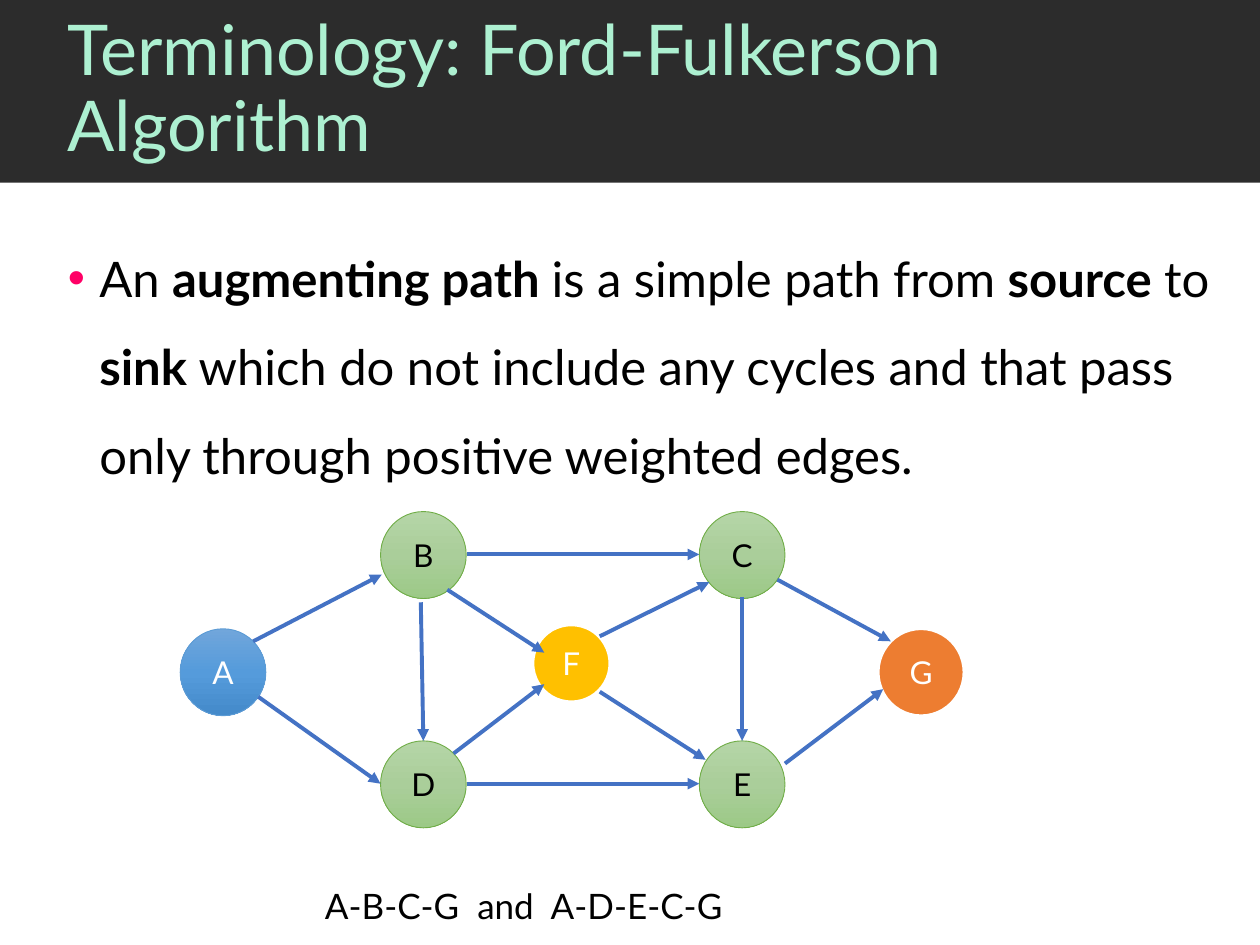
from copy import deepcopy
from dataclasses import dataclass

from pptx import Presentation
from pptx.dml.color import RGBColor
from pptx.enum.shapes import MSO_CONNECTOR as Connector, MSO_SHAPE as Shape
from pptx.enum.text import MSO_ANCHOR as Anchor, PP_ALIGN as Align
from pptx.oxml.ns import qn
from pptx.util import Inches, Pt
from lxml.etree import SubElement


@dataclass(frozen=True)
class Theme:
    font: str = "Lato"
    band: str = "2C2C2C"
    title: str = "ADF0D1"
    bullet: str = "FF0066"
    dark: str = "000000"
    light: str = "FFFFFF"
    edge: str = "4472C4"
    blue: tuple = ("71A6DB", "559BDB", "448ACA")
    blue_line: str = "5B9BD5"
    green: tuple = ("B5D5A7", "AACE9A", "9CC987")
    green_line: str = "70AD47"
    orange: str = "ED7D31"
    yellow: str = "FFC000"
    title_size: int = 40
    body_size: int = 28
    caption_size: int = 20
    node_size: int = 18


THEME = Theme()


def color(value):
    return RGBColor.from_string(value)


def write(paragraph, text, *, size, fill, bold=False):
    run = paragraph.add_run()
    run.text = text
    run.font.name = THEME.font
    run.font.size = Pt(size)
    run.font.bold = bold
    run.font.color.rgb = color(fill)


class SlideBuilder:
    def __init__(self, slide, theme):
        self.slide = slide
        self.theme = theme

    def band(self, left, top, width, height):
        shape = self.slide.shapes.add_shape(
            Shape.RECTANGLE, Inches(left), Inches(top), Inches(width), Inches(height))
        shape.shadow.inherit = False
        shape.fill.solid()
        shape.fill.fore_color.rgb = color(self.theme.band)
        shape.line.fill.background()

    def text(self, left, top, width, height, runs, *, size, fill,
             anchor=Anchor.TOP, spacing=1.0, bullet=False):
        """Add a one-paragraph box; runs are (text, bold) pairs."""
        box = self.slide.shapes.add_textbox(
            Inches(left), Inches(top), Inches(width), Inches(height))
        frame = box.text_frame
        frame.word_wrap = True
        frame.vertical_anchor = anchor
        paragraph = frame.paragraphs[0]
        paragraph.line_spacing = spacing
        if bullet:
            self.add_bullet(paragraph)
        for words, bold in runs:
            write(paragraph, words, size=size, fill=fill, bold=bold)

    def add_bullet(self, paragraph):
        properties = paragraph._p.get_or_add_pPr()
        properties.set("marL", str(Inches(0.25)))
        properties.set("indent", str(Inches(-0.25)))
        bullet_color = SubElement(properties, qn("a:buClr"))
        SubElement(bullet_color, qn("a:srgbClr"), val=self.theme.bullet)
        SubElement(properties, qn("a:buFont"), typeface="Arial")
        SubElement(properties, qn("a:buChar"), char="•")

    def gradient(self, shape, colors):
        """Fill from top to bottom with three evenly spaced colors."""
        shape.fill.gradient()
        shape.fill.gradient_angle = 270
        stop_list = shape._element.spPr.find(".//" + qn("a:gsLst"))
        stop_list.insert(1, deepcopy(stop_list[0]))
        for stop, position, value in zip(shape.fill.gradient_stops, (0, 0.5, 1), colors):
            stop.position = position
            stop.color.rgb = color(value)

    def node(self, label, left, top, width, height, *, fill, line, line_width, ink):
        shape = self.slide.shapes.add_shape(
            Shape.OVAL, Inches(left), Inches(top), Inches(width), Inches(height))
        shape.shadow.inherit = False
        if isinstance(fill, tuple):
            self.gradient(shape, fill)
        else:
            shape.fill.solid()
            shape.fill.fore_color.rgb = color(fill)
        shape.line.color.rgb = color(line)
        shape.line.width = Pt(line_width)
        shape.text_frame.vertical_anchor = Anchor.MIDDLE
        paragraph = shape.text_frame.paragraphs[0]
        paragraph.alignment = Align.CENTER
        write(paragraph, label, size=self.theme.node_size, fill=ink)

    def arrow(self, start, end):
        connector = self.slide.shapes.add_connector(
            Connector.STRAIGHT, *(Inches(value) for value in start + end))
        connector.line.color.rgb = color(self.theme.edge)
        connector.line.width = Pt(2.25)
        SubElement(connector.line._get_or_add_ln(), qn("a:tailEnd"), type="triangle")
        SubElement(connector._element.spPr, qn("a:effectLst"))


def main():
    presentation = Presentation()
    presentation.slide_width = Inches(10)
    presentation.slide_height = Inches(7.5)
    slide = presentation.slides.add_slide(presentation.slide_layouts[6])
    builder = SlideBuilder(slide, THEME)

    # Title band
    builder.band(0, 0, 10, 1.45)
    builder.text(0.44, 0, 9.56, 1.44, [("Terminology: Ford-Fulkerson Algorithm", False)],
                 size=THEME.title_size, fill=THEME.title, anchor=Anchor.MIDDLE, spacing=0.9)

    # Definition
    definition = [
        ("An ", False), ("augmenting path ", True),
        ("is a simple path from ", False), ("source", True),
        (" to ", False), ("sink", True),
        (" which do not include any cycles and that pass only through "
         "positive weighted edges.", False),
    ]
    builder.text(0.44, 1.69, 9.33, 2.28, definition, size=THEME.body_size,
                 fill=THEME.dark, spacing=1.5, bullet=True)

    # Graph nodes
    source = dict(fill=THEME.blue, line=THEME.blue_line, line_width=0.5, ink=THEME.light)
    inner = dict(fill=THEME.green, line=THEME.green_line, line_width=0.5, ink=THEME.dark)
    sink = dict(fill=THEME.orange, line=THEME.light, line_width=1.5, ink=THEME.light)
    middle = dict(sink, fill=THEME.yellow)
    left, right, upper, lower = 3.02, 5.55, 4.06, 5.88
    for label, x, y, style in [
        ("A", 1.43, 4.99, source),
        ("B", left, upper, inner), ("C", right, upper, inner),
        ("D", left, lower, inner), ("E", right, lower, inner),
        ("G", 6.97, 4.99, sink),
    ]:
        builder.node(label, x, y, 0.68, 0.69, **style)
    builder.node("F", 4.23, 4.96, 0.61, 0.61, **middle)

    # Graph edges
    for start, end in [
        ((2.01, 5.09), (3.03, 4.56)),  # A to B
        ((2.05, 5.53), (3.02, 6.22)),  # A to D
        ((3.71, 4.40), (5.55, 4.40)),  # B to C
        ((3.34, 4.78), (3.36, 5.88)),  # B to D
        ((3.55, 4.68), (4.32, 5.18)),  # B to F
        ((3.60, 5.98), (4.32, 5.43)),  # D to F
        ((3.71, 6.22), (5.55, 6.22)),  # D to E
        ((4.76, 5.05), (5.63, 4.62)),  # F to C
        ((4.76, 5.49), (5.60, 6.03)),  # F to E
        ((5.89, 4.74), (5.89, 5.88)),  # C to E
        ((6.17, 4.60), (7.07, 5.09)),  # C to G
        ((6.23, 6.06), (7.01, 5.47)),  # E to G
    ]:
        builder.arrow(start, end)

    # Example paths
    builder.text(2.48, 6.97, 3.69, 0.44, [("A-B-C-G  and  A-D-E-C-G", False)],
                 size=THEME.caption_size, fill=THEME.dark)

    presentation.save("out.pptx")


if __name__ == "__main__":
    main()
